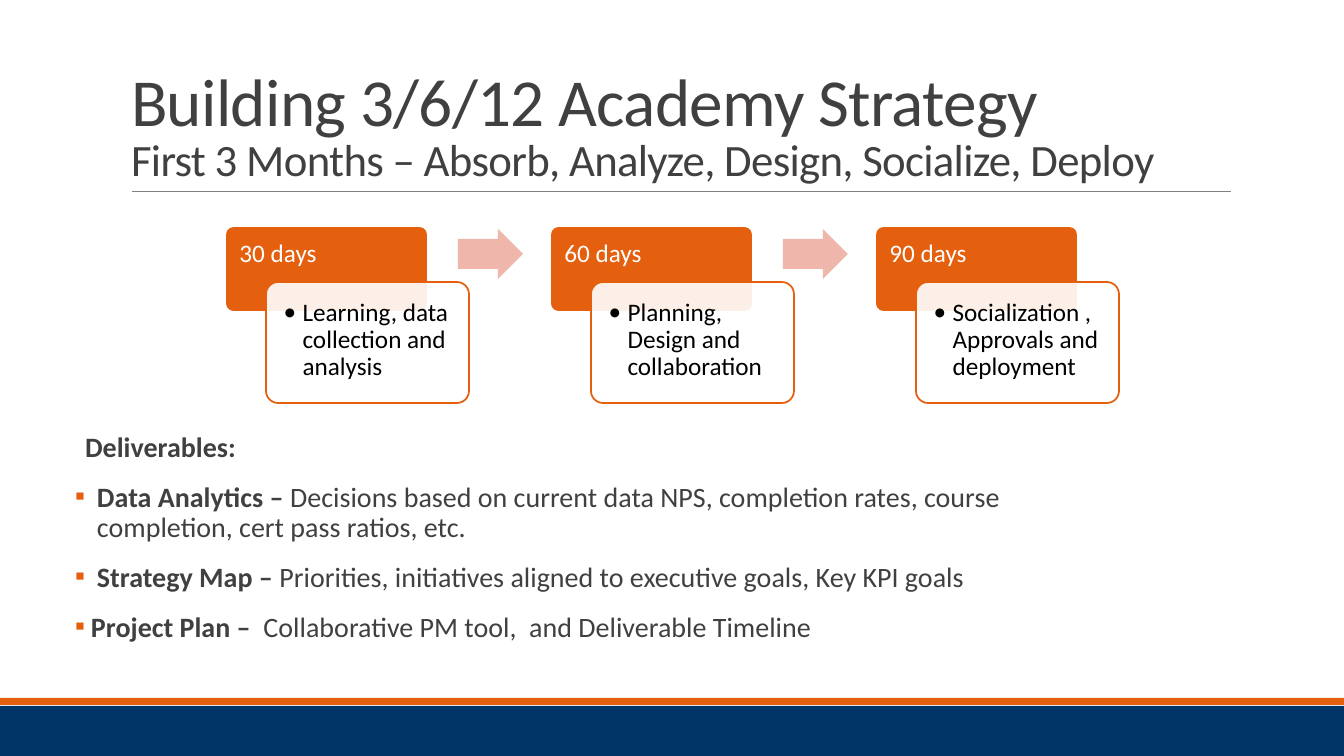
from lxml.etree import SubElement
from pptx import Presentation
from pptx.dml.color import RGBColor
from pptx.enum.shapes import MSO_CONNECTOR, MSO_SHAPE as SHAPE
from pptx.enum.text import MSO_ANCHOR as ANCHOR, MSO_AUTO_SIZE as FIT, PP_ALIGN as ALIGN
from pptx.oxml.ns import qn
from pptx.util import Pt

PX = 12192000 / 1344
COLORS = {
    "navy": "003366", "orange": "E4600E", "pink": "EFB7AB", "rule": "808080",
    "ink": "404040", "black": "000000", "white": "FFFFFF",
}


def px(*lengths):
    return [round(n * PX) for n in lengths]


def write(p, text, size=20, color="ink", bold=False, spacing=None, bullet=None, hang=0):
    p.alignment, p.line_spacing = ALIGN.LEFT, p.line_spacing or 0.9
    if bullet:
        pPr = p._p.get_or_add_pPr()
        pPr.set("marL", str(px(hang)[0]))
        pPr.set("indent", str(-px(hang)[0]))
        bullet_color = COLORS["orange" if bullet == "▪" else color]
        SubElement(SubElement(pPr, qn("a:buClr")), qn("a:srgbClr"), val=bullet_color)
        SubElement(pPr, qn("a:buFont"), typeface="Calibri")
        SubElement(pPr, qn("a:buChar"), char=bullet)
    r = p.add_run()
    r.text = text
    r.font.name, r.font.size, r.font.bold = "Calibri", Pt(size), bold
    r.font.color.rgb = RGBColor.from_string(COLORS[color])
    if spacing:
        r.font._element.set("spc", str(spacing))


prs = Presentation()
prs.slide_width, prs.slide_height = px(1344, 756)
slide = prs.slides.add_slide(prs.slide_layouts[1])
title, body = slide.placeholders

for top, height, color in [(706, 50, "navy"), (698, 7, "orange")]:
    s = slide.shapes.add_shape(SHAPE.RECTANGLE, *px(0, top, 1344, height))
    s.shadow.inherit = False
    s.fill.solid()
    s.fill.fore_color.rgb = RGBColor.from_string(COLORS[color])
    s.line.fill.background()

rule = slide.shapes.add_connector(MSO_CONNECTOR.STRAIGHT, *px(132, 191, 1231, 191))
rule.line.color.rgb = RGBColor.from_string(COLORS["rule"])
rule.line.width = Pt(0.5)
SubElement(rule._element.spPr, qn("a:effectLst"))

title.left, title.top, title.width, title.height = px(121, 31, 1109, 160)
tf = title.text_frame
tf.auto_size, tf.vertical_anchor = FIT.NONE, ANCHOR.BOTTOM
p = tf.paragraphs[0]
p.line_spacing = 0.85
write(p, "Building 3/6/12 Academy Strategy", size=48, spacing=-50)
p.add_line_break()
write(p, "First 3 Months – Absorb, Analyze, Design, Socialize, Deploy", size=32, spacing=-50)

body.left, body.top, body.width, body.height = px(75, 428, 948, 256)
tf = body.text_frame
tf.auto_size, tf.vertical_anchor = FIT.NONE, ANCHOR.TOP
tf.margin_left, tf.margin_right = 0, 0
p = tf.paragraphs[0]
p.space_before, p.space_after = Pt(0), Pt(2)
pPr = p._p.get_or_add_pPr()
pPr.set("marL", str(px(10)[0]))
pPr.set("indent", "0")
SubElement(pPr, qn("a:buNone"))
write(p, "Deliverables:", bold=True)

deliverables = [
    ("Data Analytics – ", "Decisions based on current data NPS, completion rates, "
     "course completion, cert pass ratios, etc.", 22),
    ("Strategy Map – ", "Priorities, initiatives aligned to executive goals, Key KPI goals", 22),
    ("Project Plan –  ", "Collaborative PM tool,  and Deliverable Timeline", 16),
]
for name, detail, hang in deliverables:
    p = tf.add_paragraph()
    p.space_before, p.space_after = Pt(12), Pt(2)
    write(p, name, bold=True, bullet="▪", hang=hang)
    write(p, detail)

phases = [
    ("30 days", "Learning, data collection and analysis"),
    ("60 days", "Planning, Design and collaboration"),
    ("90 days", "Socialization , Approvals and deployment"),
]
for i, (days, work) in enumerate(phases):
    left = 225 + 325 * i
    boxes = [
        (left, 226, 86, "orange", "white", 12, dict(text=days, color="white")),
        (left + 41, 282, 121, "white", "orange", 14,
         dict(text=work, color="black", bullet="•", hang=19)),
    ]
    for x, y, height, fill, line, inset, content in boxes:
        s = slide.shapes.add_shape(SHAPE.ROUNDED_RECTANGLE, *px(x, y, 203, height))
        s.adjustments[0] = 0.1
        s.shadow.inherit = False
        s.fill.solid()
        s.fill.fore_color.rgb = RGBColor.from_string(COLORS[fill])
        s.line.color.rgb = RGBColor.from_string(COLORS[line])
        s.line.width = Pt(1.25)
        if fill == "white":
            rgb = s._element.spPr.find(qn("a:solidFill")).find(qn("a:srgbClr"))
            SubElement(rgb, qn("a:alpha"), val="90000")
        tf = s.text_frame
        tf.word_wrap, tf.vertical_anchor = True, ANCHOR.TOP
        tf.margin_left, tf.margin_top, tf.margin_right = px(inset, inset, inset)
        write(tf.paragraphs[0], size=18, **content)
    if i < len(phases) - 1:
        s = slide.shapes.add_shape(SHAPE.RIGHT_ARROW, *px(left + 233, 229, 65, 50))
        s.adjustments[0], s.adjustments[1] = 0.6, 0.5
        s.shadow.inherit = False
        s.fill.solid()
        s.fill.fore_color.rgb = RGBColor.from_string(COLORS["pink"])
        s.line.fill.background()

prs.save("out.pptx")
